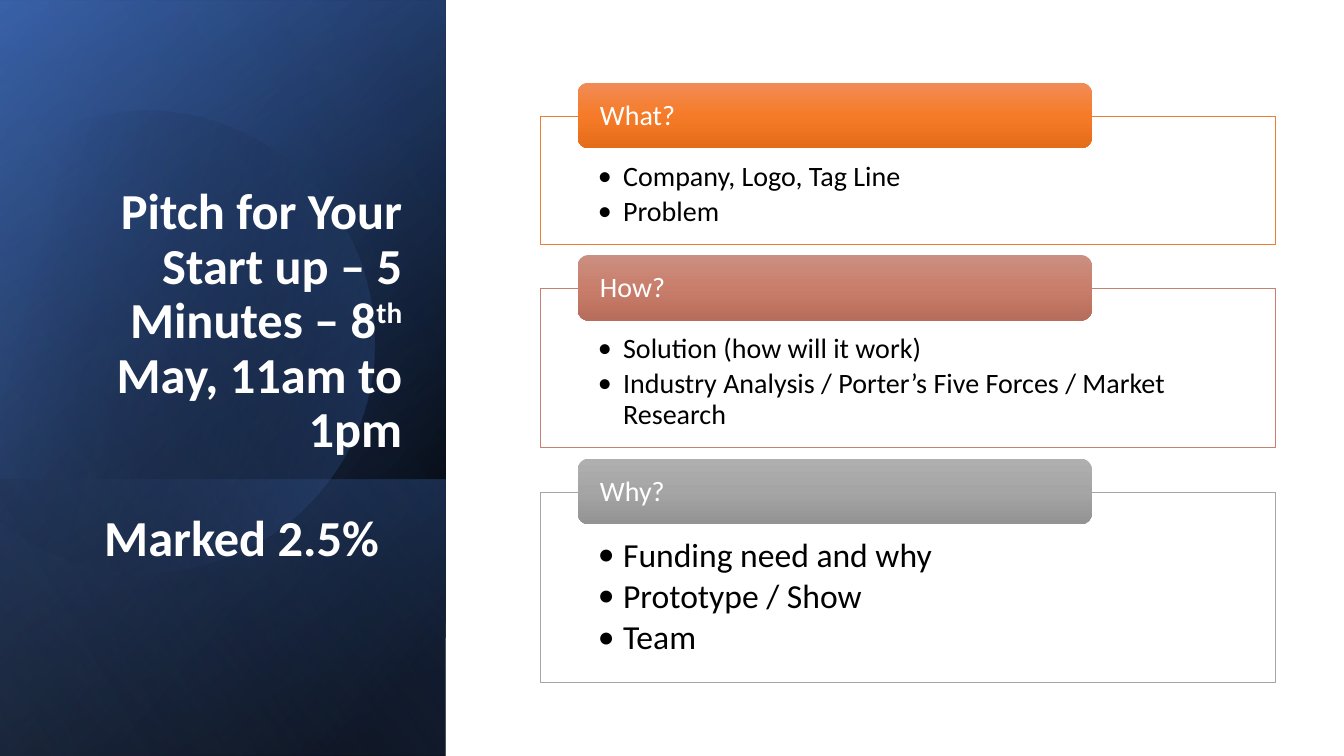
from math import cos, radians, sin

from lxml import etree
from pptx import Presentation
from pptx.dml.color import RGBColor
from pptx.enum.shapes import MSO_SHAPE
from pptx.enum.text import MSO_ANCHOR, MSO_AUTO_SIZE, PP_ALIGN
from pptx.oxml.ns import qn
from pptx.util import Emu, Pt

RECTANGLE = MSO_SHAPE.RECTANGLE
ROUNDED = MSO_SHAPE.ROUNDED_RECTANGLE
TOP, MIDDLE, BOTTOM = MSO_ANCHOR.TOP, MSO_ANCHOR.MIDDLE, MSO_ANCHOR.BOTTOM
NO_AUTOFIT = MSO_AUTO_SIZE.NONE
LEFT, RIGHT = PP_ALIGN.LEFT, PP_ALIGN.RIGHT
SCALE = 9144
FONT = "Calibri"

PANEL_LAYERS = [
    ((-154, 154, 750, 442), 50, [(8, "000000", 100), (100, "2F5597", 100)]),
    ((-154, 155, 750, 442), 30, [(0, "000000", 0), (99, "4472C4", 46)]),
    ((84, 392, 274, 442), 130, [(2, "4472C4", 29), (100, "000000", 30)]),
]
PANEL_GLOW = ((-154, 154, 750, 442), 120, [(0, "000000", 0), (99, "8FAADC", 11)])
CIRCLE_BOUNDS = (-55, 106, 427, 457)
CIRCLE_TURN = 343.9
CIRCLE_STEPS = [
    ("moveTo", [(149, 110)]),
    ("cubicBezTo", [(246, 112), (335, 177), (363, 275)]),
    ("cubicBezTo", [(398, 397), (328, 523), (207, 558)]),
    ("cubicBezTo", [(131, 580), (53, 561), (-3, 514)]),
    ("lnTo", [(-15, 503)]),
    ("lnTo", [(-15, 175)]),
    ("lnTo", [(0, 161)]),
    ("cubicBezTo", [(23, 142), (50, 128), (80, 119)]),
    ("cubicBezTo", [(103, 113), (126, 110), (149, 110)]),
    ("close", []),
]
CARDS = [
    ("What?", ["Company, Logo, Tag Line", "Problem"],
     20, 127, "ED7D31", ("F18C57", "F67B28", "E56C19")),
    ("How?", ["Solution (how will it work)",
              "Industry Analysis / Porter’s Five Forces / Market Research"],
     20, 158, "C48170", ("CB8F81", "C97E6B", "B76D5B")),
    ("Why?", ["Funding need and why", "Prototype / Show", "Team"],
     24, 189, "A5A5A5", ("AFAFAF", "A5A5A5", "939393")),
]


def px(length):
    return Emu(length * SCALE)


def color(value):
    return RGBColor.from_string(value)


def fill_gradient(shape, angle, stops):
    shape.fill.solid()
    solid = shape._element.spPr.find(qn("a:solidFill"))
    gradient = etree.Element(qn("a:gradFill"), rotWithShape="1")
    stop_list = etree.SubElement(gradient, qn("a:gsLst"))
    for position, value, opacity in stops:
        stop = etree.SubElement(stop_list, qn("a:gs"), pos=str(position * 1000))
        tint = etree.SubElement(stop, qn("a:srgbClr"), val=value)
        if opacity < 100:
            etree.SubElement(tint, qn("a:alpha"), val=str(opacity * 1000))
    etree.SubElement(gradient, qn("a:lin"), ang=str(angle * 60000), scaled="0")
    solid.getparent().replace(solid, gradient)
    shape.line.fill.background()
    shape.shadow.inherit = False


def add_box(page, kind, bounds):
    box = page.shapes.add_shape(kind, *map(px, bounds))
    box.shadow.inherit = False
    return box


def add_panel_layer(page, bounds, angle, stops):
    layer = add_box(page, RECTANGLE, bounds)
    layer.rotation = 90
    layer._element.spPr.find(qn("a:xfrm")).set("flipH", "1")
    fill_gradient(layer, angle, stops)


def unturn(point):
    left, top, width, height = CIRCLE_BOUNDS
    turn = radians(-CIRCLE_TURN)
    across, down = point[0] - left - width / 2, point[1] - top - height / 2
    return (round(width / 2 + across * cos(turn) - down * sin(turn)),
            round(height / 2 + across * sin(turn) + down * cos(turn)))


def add_circle(page):
    left, top, width, height = CIRCLE_BOUNDS
    builder = page.shapes.build_freeform(left, top, scale=SCALE)
    builder.add_line_segments([(left + width, top), (left + width, top + height), (left, top + height)])
    circle = builder.convert_to_shape()
    outline = next(circle._element.iter(qn("a:path")))
    for step in list(outline):
        outline.remove(step)
    for name, points in CIRCLE_STEPS:
        step = etree.SubElement(outline, qn("a:" + name))
        for x, y in map(unturn, points):
            etree.SubElement(step, qn("a:pt"), x=str(x), y=str(y))
    circle.rotation = CIRCLE_TURN
    fill_gradient(circle, 30, [(29, "000000", 0), (100, "4472C4", 43)])


def set_frame(box, anchor, margins):
    frame = box.text_frame
    frame.word_wrap = True
    frame.auto_size = NO_AUTOFIT
    frame.vertical_anchor = anchor
    frame.margin_left, frame.margin_top, frame.margin_right, frame.margin_bottom = map(px, margins)
    return frame


def add_text(page, bounds, anchor, margins, text):
    frame = set_frame(page.shapes.add_textbox(*map(px, bounds)), anchor, margins)
    frame.text = text
    return frame.paragraphs


def format_para(para, align, size, value, bold=False):
    para.alignment = align
    para.line_spacing = 0.9
    for span in para.runs:
        span.font.name = FONT
        span.font.size = Pt(size)
        span.font.bold = bold
        span.font.color.rgb = color(value)


def add_bullet(para):
    properties = para._p.get_or_add_pPr()
    properties.set("marL", str(px(25)))
    properties.set("indent", str(px(-25)))
    etree.SubElement(properties, qn("a:buFont"), typeface=FONT)
    etree.SubElement(properties, qn("a:buChar"), char="•")


def add_title(page):
    title = page.shapes.title
    page.shapes._spTree.append(title._element)
    title.left, title.top, title.width, title.height = map(px, (68, 306, 341, 262))
    frame = set_frame(title, BOTTOM, (10, 5, 10, 5))
    pitch, mark = frame.paragraphs[0], frame.add_paragraph()
    for words in ("Pitch for Your Start up – 5 Minutes – 8", "th", " May, 11am to 1pm"):
        pitch.add_run().text = words
    pitch.runs[1].font._element.set("baseline", "30000")
    mark.text = "Marked 2.5%"
    mark._p.get_or_add_pPr().set("marR", str(px(23)))
    for para in (pitch, mark):
        format_para(para, RIGHT, 36, "FFFFFF", True)
    mark.space_before = Pt(39)


def add_card(page, top, heading, points, size, height, outline, shades):
    bounds = (536, top, 729, height)
    body = add_box(page, RECTANGLE, bounds)
    body.fill.solid()
    body.fill.fore_color.rgb = color("FFFFFF")
    body.line.color.rgb = color(outline)
    body.line.width = Pt(0.5)
    for para in add_text(page, bounds, TOP, (57, 46, 57, 16), "\n".join(points)):
        add_bullet(para)
        format_para(para, LEFT, size, "000000")
        para.space_after = Pt(3.5)

    tab = add_box(page, ROUNDED, (573, top - 33, 510, 65))
    fill_gradient(tab, 90, [(50 * index, shade, 100) for index, shade in enumerate(shades)])
    label = add_text(page, (576, top - 29, 504, 58), MIDDLE, (19, 0, 19, 0), heading)
    format_para(label[0], LEFT, 20, "FFFFFF")


def main():
    deck = Presentation()
    deck.slide_width, deck.slide_height = px(1333), px(750)
    page = deck.slides.add_slide(deck.slide_layouts[5])
    for layer in PANEL_LAYERS:
        add_panel_layer(page, *layer)
    add_circle(page)
    add_panel_layer(page, *PANEL_GLOW)
    add_title(page)
    top = 115
    for card in CARDS:
        add_card(page, top, *card)
        top += card[3] + 44
    deck.save("out.pptx")


if __name__ == "__main__":
    main()
